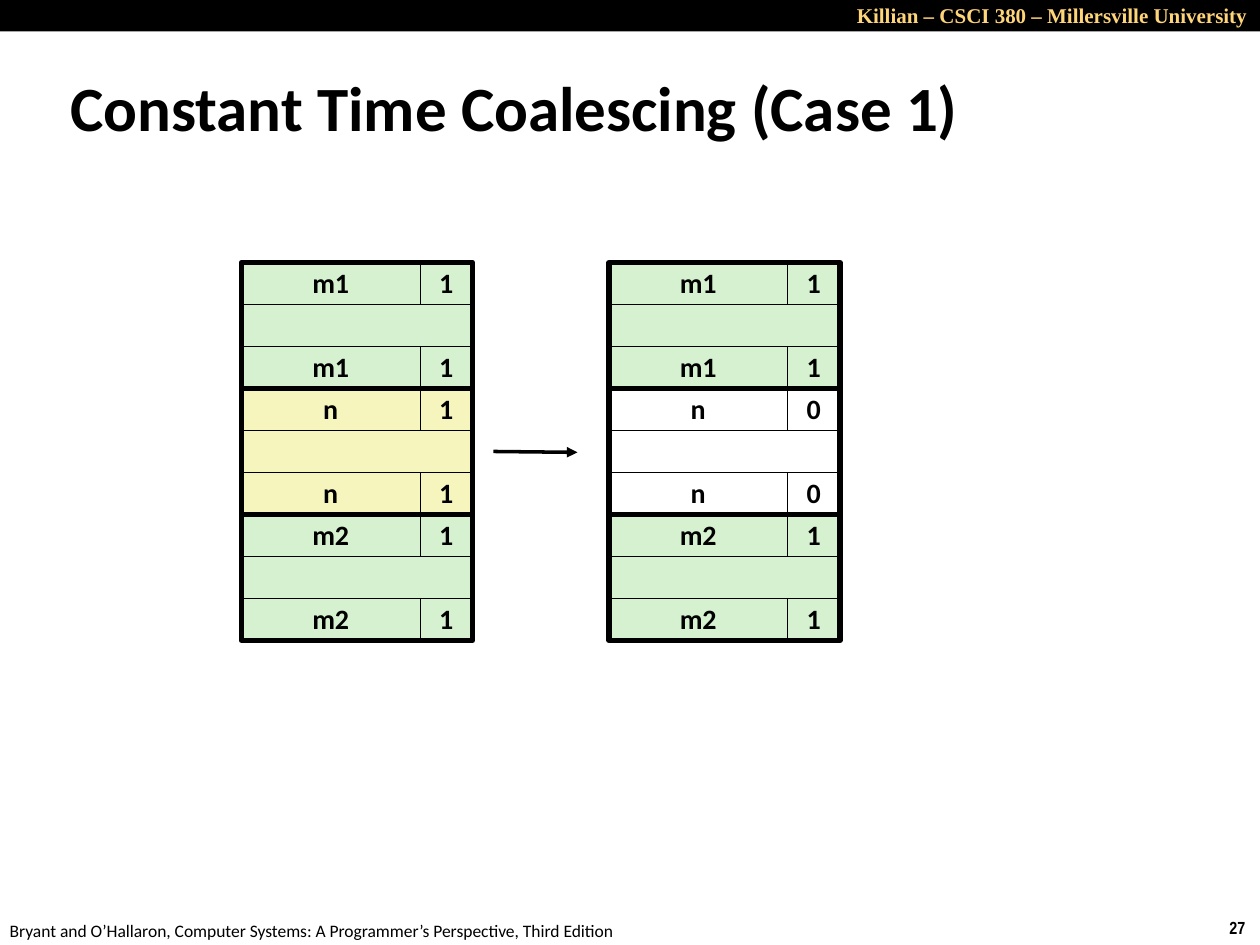
"""Build the constant time coalescing slide, case 1."""
import dataclasses

import lxml.etree
import pptx
import pptx.dml.color
import pptx.enum.shapes
import pptx.enum.text
import pptx.oxml.ns
import pptx.util

Pt = pptx.util.Pt
Align = pptx.enum.text.PP_ALIGN
Anchor = pptx.enum.text.MSO_ANCHOR


@dataclasses.dataclass(frozen=True)
class Theme:
    black: str = "000000"
    white: str = "FFFFFF"
    gold: str = "FFD579"
    green: str = "D5F1CF"
    yellow: str = "F6F5BD"
    font: str = "Calibri"
    header_font: str = "Times New Roman"
    number_font: str = "Arial Narrow"
    title_size: float = 36
    cell_size: float = 16
    header_size: float = 12
    footer_size: float = 10
    thin: float = 0.25
    medium: float = 2
    thick: float = 3


class SlideBuilder:
    row_height = 24
    size_width = 102
    flag_width = 30

    def __init__(self, slide, theme):
        self.slide = slide
        self.theme = theme

    def color(self, value):
        return pptx.dml.color.RGBColor.from_string(value)

    def add_text(self, frame, text, size, bold=True, font=None, color=None, align=Align.LEFT):
        paragraph = frame.paragraphs[0]
        paragraph.alignment = align
        run = paragraph.add_run()
        run.text = text
        run.font.name = font or self.theme.font
        run.font.size = Pt(size)
        run.font.bold = bold
        run.font.color.rgb = self.color(color or self.theme.black)

    def title(self, text, left, top, width, height):
        shape = self.slide.shapes.title
        shape.left, shape.top, shape.width, shape.height = map(Pt, (left, top, width, height))
        frame = shape.text_frame
        frame.auto_size = pptx.enum.text.MSO_AUTO_SIZE.NONE
        frame.vertical_anchor = Anchor.MIDDLE
        self.add_text(frame, text, self.theme.title_size)

    def label(self, text, left, top, width, height, size, wrap=False, **style):
        shape = self.slide.shapes.add_textbox(*map(Pt, (left, top, width, height)))
        shape.text_frame.word_wrap = wrap
        self.add_text(shape.text_frame, text, size, **style)

    def box(self, left, top, width, height, fill=None, line=None, text=""):
        shape = self.slide.shapes.add_shape(
            pptx.enum.shapes.MSO_SHAPE.RECTANGLE, *map(Pt, (left, top, width, height)))
        shape.shadow.inherit = False
        if fill:
            shape.fill.solid()
            shape.fill.fore_color.rgb = self.color(fill)
        else:
            shape.fill.background()
        if line:
            shape.line.color.rgb = self.color(self.theme.black)
            shape.line.width = Pt(line)
        else:
            shape.line.fill.background()
        if text:
            frame = shape.text_frame
            frame.word_wrap = False
            frame.vertical_anchor = Anchor.MIDDLE
            self.add_text(frame, text, self.theme.cell_size, align=Align.CENTER)
            frame.paragraphs[0].line_spacing = 0.98

    def block(self, left, top, size, flag, fill):
        width = self.size_width + self.flag_width
        thin = self.theme.thin
        for row in (0, 2):
            row_top = top + row * self.row_height
            self.box(left, row_top, self.size_width, self.row_height, fill, thin, size)
            self.box(left + self.size_width, row_top, self.flag_width, self.row_height,
                     fill, thin, flag)
        self.box(left, top + self.row_height, width, self.row_height, fill, thin)
        self.box(left, top, width, 3 * self.row_height, line=self.theme.thick)

    def heap(self, left, top, blocks):
        for index, block in enumerate(blocks):
            self.block(left, top + index * 3 * self.row_height, *block)

    def arrow(self, start_x, start_y, end_x, end_y):
        connector = self.slide.shapes.add_connector(
            pptx.enum.shapes.MSO_CONNECTOR.STRAIGHT, *map(Pt, (start_x, start_y, end_x, end_y)))
        connector.line.color.rgb = self.color(self.theme.black)
        connector.line.width = Pt(self.theme.medium)
        properties = connector._element.spPr
        line = properties.find(pptx.oxml.ns.qn("a:ln"))
        lxml.etree.SubElement(line, pptx.oxml.ns.qn("a:tailEnd"), type="triangle")
        lxml.etree.SubElement(properties, pptx.oxml.ns.qn("a:effectLst"))


def main():
    theme = Theme()
    presentation = pptx.Presentation()
    presentation.slide_width, presentation.slide_height = Pt(720), Pt(540)
    slide = presentation.slides.add_slide(presentation.slide_layouts[5])
    builder = SlideBuilder(slide, theme)

    builder.box(0, 0, 720, 18, theme.black)
    builder.label("Killian – CSCI 380 – Millersville University", 438, -2, 282, 22,
                  theme.header_size, wrap=True, font=theme.header_font,
                  color=theme.gold, align=Align.RIGHT)
    builder.label("27", 695.5, 520.5, 24.5, 19.5, theme.footer_size, font=theme.number_font)
    builder.label("Bryant and O’Hallaron, Computer Systems: A Programmer’s Perspective, Third Edition",
                  -1.5, 522, 366, 19.5, theme.footer_size, bold=False)
    builder.title("Constant Time Coalescing (Case 1)", 33, 38, 654, 45.5)

    previous_block = ("m1", "1", theme.green)
    next_block = ("m2", "1", theme.green)
    builder.heap(138, 150, [previous_block, ("n", "1", theme.yellow), next_block])
    builder.heap(348, 150, [previous_block, ("n", "0", theme.white), next_block])
    builder.arrow(282, 258, 330, 258.5)

    presentation.save("out.pptx")


if __name__ == "__main__":
    main()
